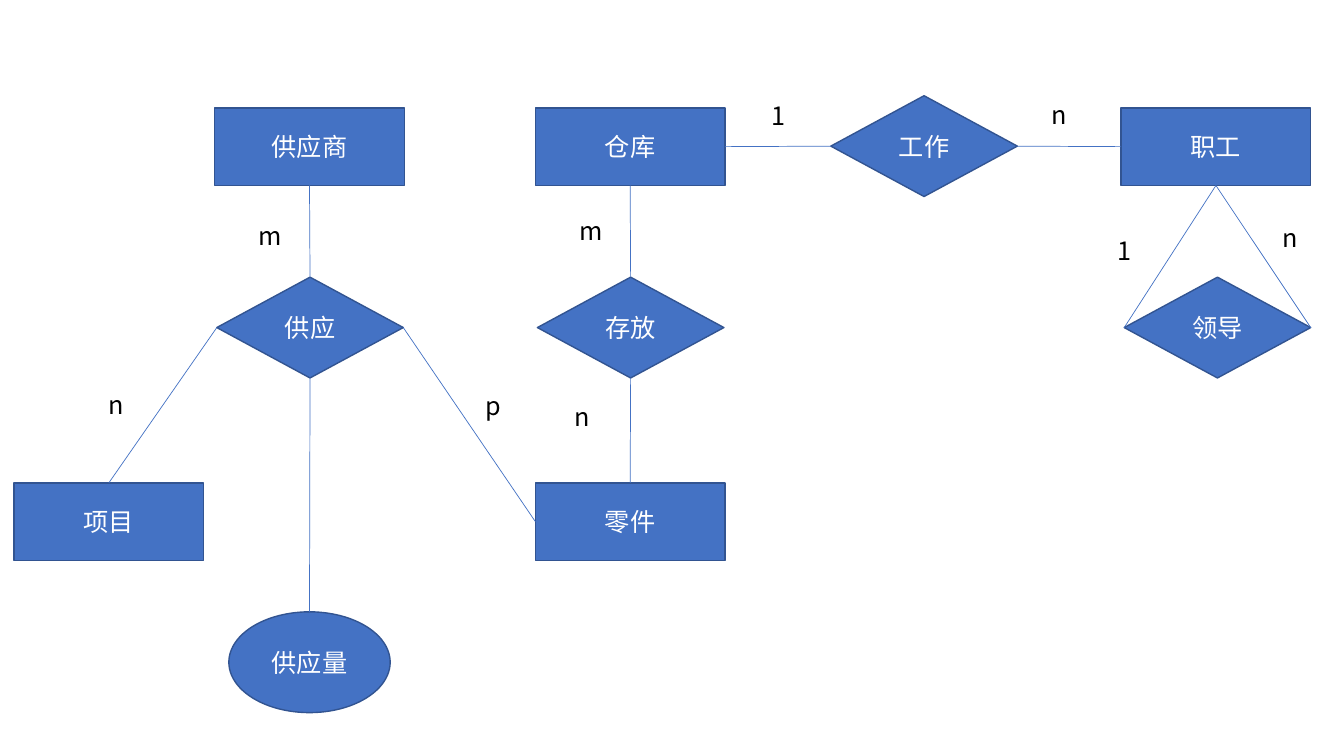
from lxml.etree import SubElement
from pptx import Presentation
from pptx.dml.color import RGBColor
from pptx.enum.shapes import MSO_CONNECTOR as Connector, MSO_SHAPE as Shape
from pptx.enum.text import MSO_ANCHOR as Anchor, MSO_AUTO_SIZE as AutoSize, PP_ALIGN as Align
from pptx.oxml.ns import qn
from pptx.util import Emu, Pt

EMU_PER_PX = 9144
TOP, LEFT, BOTTOM, RIGHT = range(4)


def px(length):
    return Emu(length * EMU_PER_PX)


def color(hex_string):
    return RGBColor.from_string(hex_string)


class Diagram:
    font = "Noto Sans CJK SC"
    fill = "4472C4"
    outline = "325491"
    sizes = {
        Shape.RECTANGLE: (188, 77),
        Shape.DIAMOND: (185, 100),
        Shape.OVAL: (160, 100),
    }
    label_widths = {"m": 44, "n": 41, "p": 40, "1": 39}
    label_height = 40

    def __init__(self, page):
        self.shapes = page.shapes
        self.nodes = {}

    def set_text(self, frame, text, hex_string):
        para = frame.paragraphs[0]
        para.text = text
        para.alignment = Align.CENTER
        para.font.size = Pt(18)
        para.font.name = self.font
        para.font.color.rgb = color(hex_string)
        properties = para._p.pPr.find(qn("a:defRPr"))
        SubElement(properties, qn("a:ea")).set("typeface", self.font)

    def node(self, kind, text, left, top):
        width, height = self.sizes[kind]
        box = self.shapes.add_shape(kind, px(left), px(top), px(width), px(height))
        box.shadow.inherit = False
        box.fill.solid()
        box.fill.fore_color.rgb = color(self.fill)
        box.line.color.rgb = color(self.outline)
        box.line.width = Pt(1)
        box.text_frame.vertical_anchor = Anchor.MIDDLE
        self.set_text(box.text_frame, text, "FFFFFF")
        self.nodes[text] = box

    def link(self, start, start_side, end, end_side):
        line = self.shapes.add_connector(Connector.STRAIGHT, 0, 0, 0, 0)
        line.begin_connect(self.nodes[start], start_side)
        line.end_connect(self.nodes[end], end_side)
        line.line.color.rgb = color(self.fill)
        line.line.width = Pt(0.5)
        SubElement(line._element.spPr, qn("a:effectLst"))

    def label(self, text, left, top):
        box = self.shapes.add_textbox(
            px(left), px(top), px(self.label_widths[text]), px(self.label_height)
        )
        box.text_frame.word_wrap = False
        box.text_frame.auto_size = AutoSize.SHAPE_TO_FIT_TEXT
        self.set_text(box.text_frame, text, "000000")


NODES = [
    (Shape.RECTANGLE, "供应商", 213, 107),
    (Shape.DIAMOND, "供应", 215, 275),
    (Shape.RECTANGLE, "项目", 14, 479),
    (Shape.RECTANGLE, "零件", 531, 479),
    (Shape.OVAL, "供应量", 227, 607),
    (Shape.DIAMOND, "存放", 533, 275),
    (Shape.RECTANGLE, "仓库", 531, 107),
    (Shape.DIAMOND, "工作", 824, 95),
    (Shape.RECTANGLE, "职工", 1112, 107),
    (Shape.DIAMOND, "领导", 1115, 275),
]
LINKS = [
    ("供应商", BOTTOM, "供应", TOP),
    ("供应", LEFT, "项目", TOP),
    ("供应", RIGHT, "零件", LEFT),
    ("供应", BOTTOM, "供应量", TOP),
    ("仓库", BOTTOM, "存放", TOP),
    ("存放", BOTTOM, "零件", TOP),
    ("仓库", RIGHT, "工作", LEFT),
    ("工作", RIGHT, "职工", LEFT),
    ("职工", BOTTOM, "领导", LEFT),
    ("职工", BOTTOM, "领导", RIGHT),
]
LABELS = [
    ("m", 246, 214),
    ("n", 557, 393),
    ("p", 469, 382),
    ("1", 1096, 229),
    ("m", 564, 209),
    ("n", 1259, 216),
    ("1", 753, 95),
    ("n", 1030, 94),
    ("n", 95, 381),
]


def main():
    deck = Presentation()
    deck.slide_width, deck.slide_height = px(1333), px(750)
    blank = deck.slide_layouts.get_by_name("Blank")
    diagram = Diagram(deck.slides.add_slide(blank))
    for node in NODES:
        diagram.node(*node)
    for link in LINKS:
        diagram.link(*link)
    for label in LABELS:
        diagram.label(*label)
    deck.save("out.pptx")


if __name__ == "__main__":
    main()
